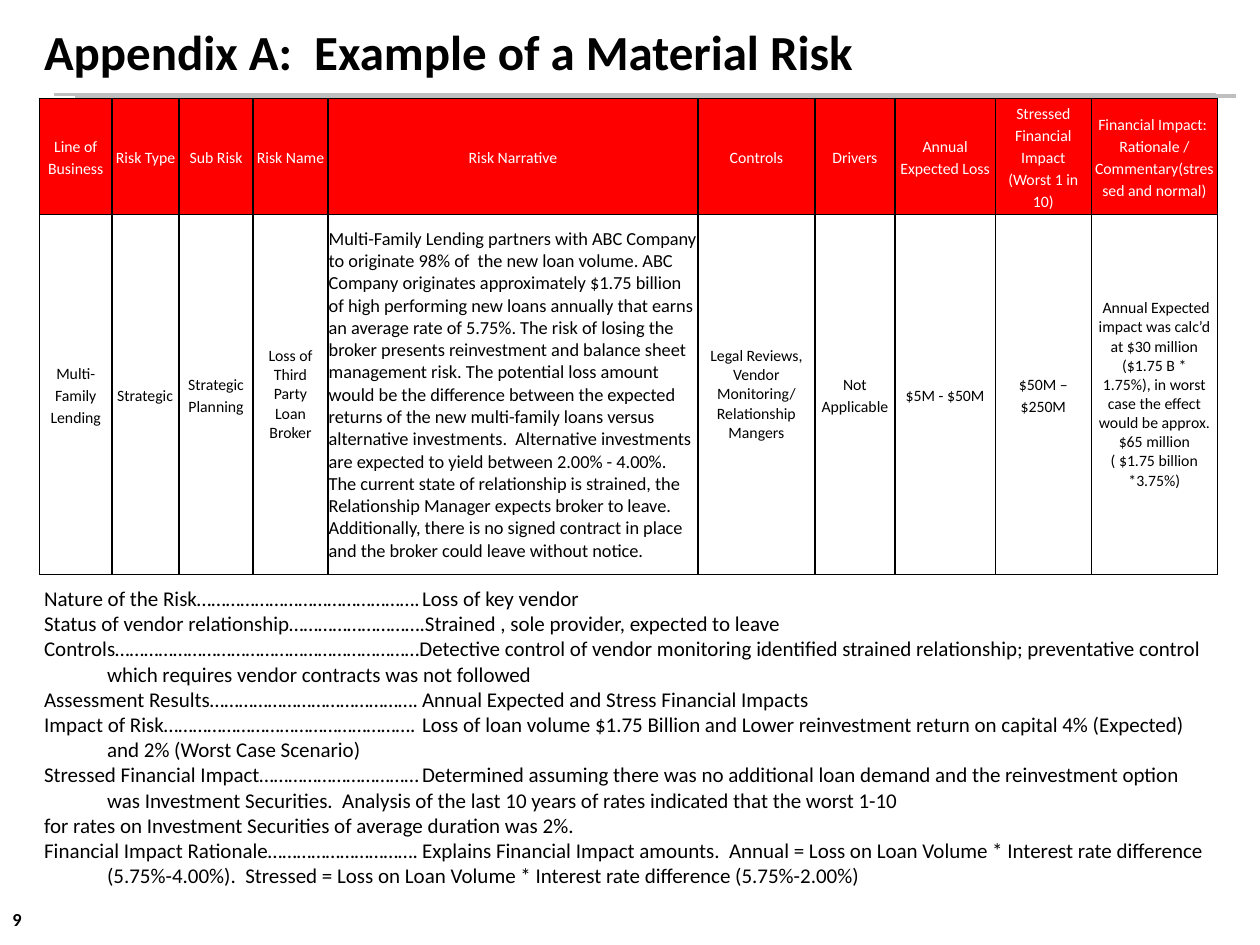
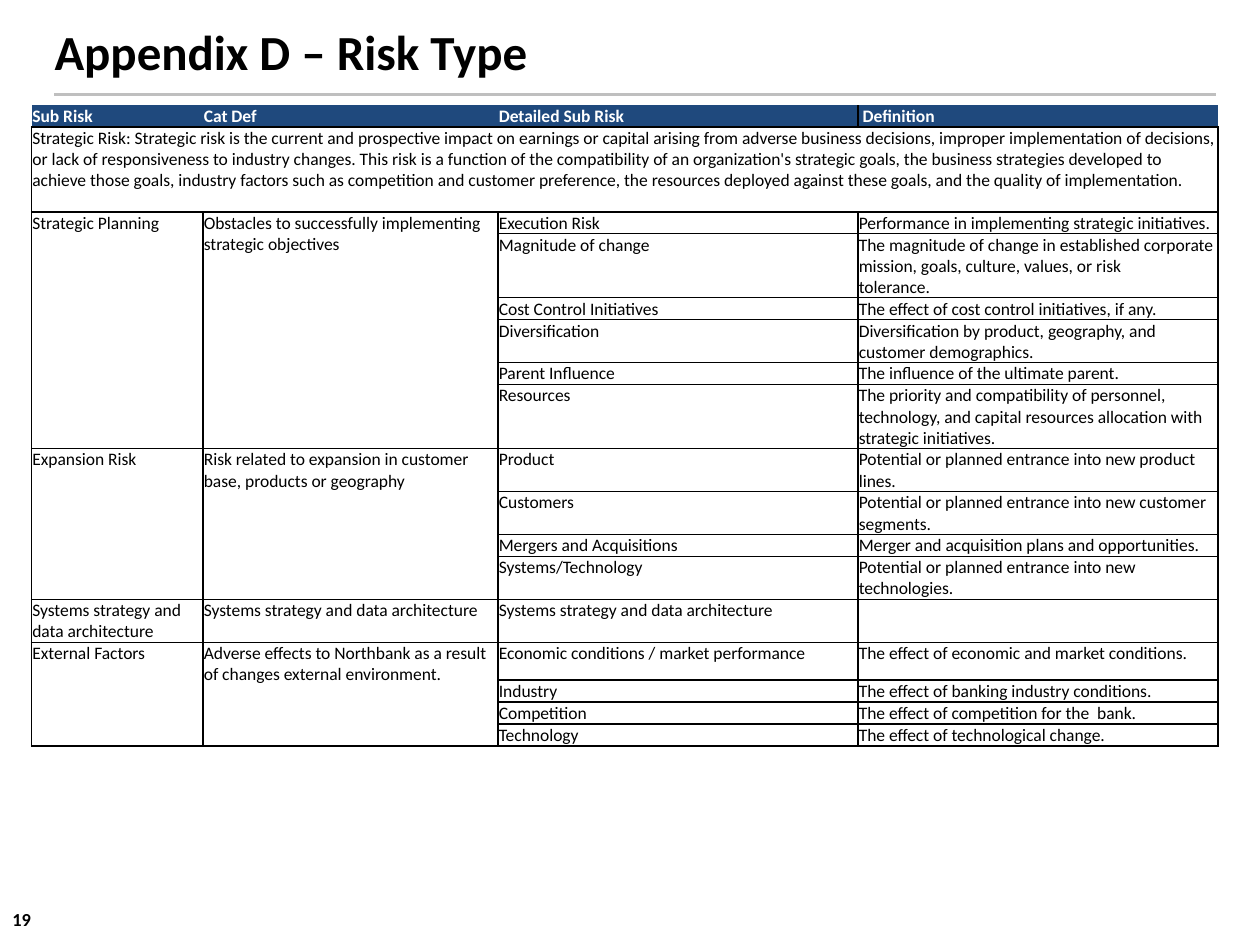
"""Build two risk appendix slides: a material risk example and the strategic risk types."""
from lxml import etree
from pptx import Presentation
from pptx.dml.color import RGBColor
from pptx.enum.shapes import MSO_CONNECTOR
from pptx.enum.text import MSO_ANCHOR, MSO_AUTO_SIZE, PP_ALIGN
from pptx.oxml.ns import qn
from pptx.util import Pt

LEFT, CENTER = PP_ALIGN.LEFT, PP_ALIGN.CENTER
TOP, MIDDLE = MSO_ANCHOR.TOP, MSO_ANCHOR.MIDDLE
STRAIGHT = MSO_CONNECTOR.STRAIGHT
NO_AUTOFIT = MSO_AUTO_SIZE.NONE

THEME = {
    "font": "Calibri",
    "ink": "000000", "paper": "FFFFFF", "rule": "BFBFBF",
    "risk_header": "FF0000", "type_header": "1F497D",
    "title": 28, "notes": 12, "narrative": 10.5, "number": 10.5,
    "type_cell": 10, "risk_cell": 9,
    "rule_width": 2.25, "border_width": 1,
}


def format_para(para, size, color=THEME["ink"], bold=False, align=LEFT):
    """Apply the theme font to every run and line break of a paragraph."""
    para.alignment = align
    for span in para.runs:
        span.font.name = THEME["font"]
        span.font.size = Pt(size)
        span.font.bold = bold
        span.font.color.rgb = RGBColor.from_string(color)
    size_code = str(int(size * 100))
    for line_break in para._p.findall(qn("a:br")):
        etree.SubElement(line_break, qn("a:rPr"), sz=size_code)
    if not para.runs:
        etree.SubElement(para._p, qn("a:endParaRPr"), sz=size_code)


def style_cell(cell, fill, anchor, insets, sides="LRTB"):
    """Set fill, anchor, insets and the visible borders of a table cell."""
    cell.vertical_anchor = anchor
    cell.margin_left, cell.margin_top, cell.margin_right, cell.margin_bottom = map(Pt, insets)
    properties = cell._tc.get_or_add_tcPr()
    for side in "LRTB":
        border = etree.SubElement(properties, qn(f"a:ln{side}"), w=str(Pt(THEME["border_width"])))
        if side in sides:
            solid = etree.SubElement(border, qn("a:solidFill"))
            etree.SubElement(solid, qn("a:srgbClr"), val=THEME["ink"])
        else:
            etree.SubElement(border, qn("a:noFill"))
    cell.fill.solid()
    cell.fill.fore_color.rgb = RGBColor.from_string(fill)


deck = Presentation()
deck.slide_width, deck.slide_height = Pt(720), Pt(540)

PAGES = [
    {"layout": 1, "title": "Appendix A:  Example of a Material Risk", "number": "9",
     "title_box": (18, 8.5, 678, 41), "rules": [(31, 695, 54), (43, 706.5, 55)],
     "table_at": (22.5, 56.2), "row_heights": [65.5, 206],
     "columns": [41.5, 38.3, 42.3, 42.8, 211.4, 66.9, 45.7, 57.4, 54.9, 72]},
    {"layout": 5, "title": "Appendix D – Risk Type", "number": "19",
     "title_box": (24, 8.5, 672, 75), "rules": [(31, 695, 54)],
     "table_at": (18, 60),
     "row_heights": [12.5, 48.5, 12.5, 36.5, 12.5, 24.5, 12.5, 36.5, 24.5, 24.5, 12.5,
                     24.5, 24.5, 21.6, 12.5, 12.5, 12.5],
     "columns": [98, 168.6, 205.7, 205.7]},
]

pages, tables = [], []
for plan in PAGES:
    page = deck.slides.add_slide(deck.slide_layouts[plan["layout"]])
    pages.append(page)

    title = page.shapes.title
    title.left, title.top, title.width, title.height = map(Pt, plan["title_box"])
    title.text_frame.text = plan["title"]
    title.text_frame.vertical_anchor = TOP
    title.text_frame.auto_size = NO_AUTOFIT
    format_para(title.text_frame.paragraphs[0], THEME["title"], bold=True)

    number_box = page.shapes.add_textbox(Pt(0), Pt(510), Pt(30), Pt(30))
    number_box.text_frame.word_wrap = True
    number_box.text_frame.vertical_anchor = MIDDLE
    number_box.text_frame.text = plan["number"]
    format_para(number_box.text_frame.paragraphs[0], THEME["number"], bold=True)

    for start, end, height in plan["rules"]:
        rule = page.shapes.add_connector(STRAIGHT, Pt(start), Pt(height), Pt(end), Pt(height))
        rule.line.color.rgb = RGBColor.from_string(THEME["rule"])
        rule.line.width = Pt(THEME["rule_width"])
        etree.SubElement(rule._element.spPr, qn("a:effectLst"))

    left, top = plan["table_at"]
    frame = page.shapes.add_table(
        len(plan["row_heights"]), len(plan["columns"]), Pt(left), Pt(top),
        Pt(sum(plan["columns"])), Pt(sum(plan["row_heights"])))
    table = frame.table
    table.first_row = table.horz_banding = False
    for column, width in zip(table.columns, plan["columns"]):
        column.width = Pt(width)
    for row, height in zip(table.rows, plan["row_heights"]):
        row.height = Pt(height)
    tables.append(table)

risk_page, type_page = pages
risk_table, type_table = tables

RISK_FIELDS = [
    ("Line of Business", "Multi-Family Lending"),
    ("Risk Type", "Strategic"),
    ("Sub Risk", "Strategic Planning"),
    ("Risk Name ", "Loss of Third Party Loan Broker"),
    ("Risk Narrative",
     "Multi-Family Lending partners with ABC Company to originate 98% of  the new loan volume. "
     "ABC Company originates approximately $1.75 billion of high performing new loans annually "
     "that earns an average rate of 5.75%. The risk of losing the broker presents reinvestment "
     "and balance sheet management risk. The potential loss amount would be the difference "
     "between the expected returns of the new multi-family loans versus alternative investments.  "
     "Alternative investments are expected to yield between 2.00% - 4.00%.  The current state of "
     "relationship is strained, the Relationship Manager expects broker to leave.  Additionally, "
     "there is no signed contract in place and the broker could leave without notice."),
    ("Controls", "Legal Reviews, Vendor Monitoring/ Relationship Mangers"),
    ("Drivers", "Not Applicable"),
    ("Annual Expected Loss", "$5M - $50M"),
    ("Stressed Financial Impact (Worst 1 in 10)", "$50M – $250M"),
    ("Financial Impact:  Rationale / Commentary(stressed and normal)",
     " Annual Expected impact was calc’d at $30 million ($1.75 B * 1.75%), in worst case the "
     "effect would be approx. $65 million ( $1.75 billion *3.75%)"),
]
SINGLE_SPACED = {"Risk Name ", "Risk Narrative", "Controls",
                 "Financial Impact:  Rationale / Commentary(stressed and normal)"}
NO_SPACE_AFTER = {"Risk Narrative", "Controls"}

for column, (heading, value) in enumerate(RISK_FIELDS):
    is_narrative = heading == "Risk Narrative"
    for row, text in enumerate((heading, value)):
        is_header = row == 0
        cell = risk_table.cell(row, column)
        cell.text_frame.text = text
        inset = 0 if column == 0 else 2 if is_header else 3
        insets = (0.5, 0.5, 0.5, 0) if is_narrative and not is_header else (inset,) * 4
        style_cell(cell, THEME["risk_header" if is_header else "paper"], MIDDLE, insets)
        para = cell.text_frame.paragraphs[0]
        size = THEME["narrative" if is_narrative and not is_header else "risk_cell"]
        is_left = not is_header and heading in ("Risk Type", "Risk Narrative")
        format_para(para, size, THEME["paper" if is_header else "ink"],
                    align=LEFT if is_left else CENTER)
        if is_header or heading not in SINGLE_SPACED:
            para.line_spacing = 1.15
        if is_header or heading not in NO_SPACE_AFTER:
            para.space_after = Pt(10)

RISK_NOTES = [
    "Nature of the Risk……………………………………….\tLoss of key vendor",
    "Status of vendor relationship……………………….Strained , sole provider, expected to leave",
    "Controls………………………………………………………Detective control of vendor monitoring identified "
    "strained relationship; preventative control\v\twhich requires vendor contracts was not followed",
    "Assessment Results…………………………………….\tAnnual Expected and Stress Financial Impacts",
    "Impact of Risk…………………………………………….\tLoss of loan volume $1.75 Billion and Lower "
    "reinvestment return on capital 4% (Expected)\v\tand 2% (Worst Case Scenario)\v"
    "Stressed Financial Impact……………………………\tDetermined assuming there was no additional loan "
    "demand and the reinvestment option\v\twas Investment Securities.  Analysis of the last 10 "
    "years of rates indicated that the worst 1-10\v"
    "for rates on Investment Securities of average duration was 2%.",
    "Financial Impact Rationale………………………….\tExplains Financial Impact amounts.  Annual = Loss "
    "on Loan Volume * Interest rate difference\v\t(5.75%-4.00%).  Stressed = Loss on Loan Volume "
    "* Interest rate difference (5.75%-2.00%)",
]

notes = risk_page.placeholders[1]
notes.left, notes.top, notes.width, notes.height = Pt(18), Pt(331), Pt(684), Pt(181.5)
notes.text_frame.text = "\n".join(RISK_NOTES)
notes.text_frame.auto_size = NO_AUTOFIT
for para in notes.text_frame.paragraphs:
    format_para(para, THEME["notes"])
    para.space_before = Pt(0)
    properties = para._p.get_or_add_pPr()
    properties.set("marL", "0")
    properties.set("indent", "0")
    etree.SubElement(properties, qn("a:buNone"))
    tab_list = etree.SubElement(properties, qn("a:tabLst"))
    for stop in (72, 216):
        etree.SubElement(tab_list, qn("a:tab"), pos=str(Pt(stop)), algn="l")

TYPE_HEADINGS = ["Sub Risk", "Cat Def", "Detailed Sub Risk", " Definition"]
STRATEGIC_RISK = (
    "Strategic Risk: Strategic risk is the current and prospective impact on earnings or capital "
    "arising from adverse business decisions, improper implementation of decisions, or lack of "
    "responsiveness to industry changes. This risk is a function of the compatibility of an "
    "organization's strategic goals, the business strategies developed to achieve those goals, "
    "industry factors such as competition and customer preference, the resources deployed against "
    "these goals, and the quality of implementation.")
SUB_RISKS = [
    ("Strategic Planning", "Obstacles to successfully implementing strategic objectives", [
        ("Execution Risk", "Performance in implementing strategic initiatives."),
        ("Magnitude of change", "The magnitude of change in established corporate mission, goals, "
         "culture, values, or risk\vtolerance."),
        ("Cost Control Initiatives", "The effect of cost control initiatives, if any."),
        ("Diversification", "Diversification by product, geography, and customer demographics."),
        ("Parent Influence", "The influence of the ultimate parent."),
        ("Resources", "The priority and compatibility of personnel, technology, and capital "
         "resources allocation with strategic initiatives."),
    ]),
    ("Expansion Risk", "Risk related to expansion in customer base, products or geography", [
        ("Product", "Potential or planned entrance into new product lines."),
        ("Customers", "Potential or planned entrance into new customer segments."),
        ("Mergers and Acquisitions", "Merger and acquisition plans and opportunities."),
        ("Systems/Technology", "Potential or planned entrance into new technologies."),
    ]),
    ("Systems strategy and data architecture", "Systems strategy and data architecture", [
        ("Systems strategy and data architecture", ""),
    ]),
    ("External Factors", "Adverse effects to Northbank as a result of changes external environment.", [
        ("Economic conditions / market performance", "The effect of economic and market conditions."),
        ("Industry", "The effect of banking industry conditions."),
        ("Competition", "The effect of competition for the  bank."),
        ("Technology", "The effect of technological change."),
    ]),
]

type_rows = [TYPE_HEADINGS, [STRATEGIC_RISK, "", "", ""]]
type_table.cell(1, 0).merge(type_table.cell(1, 3))
for sub_risk, category, details in SUB_RISKS:
    first = len(type_rows)
    last = first + len(details) - 1
    for index, (detail, definition) in enumerate(details):
        group = ["", ""] if index else [sub_risk, category]
        type_rows.append([*group, detail, definition])
    if last > first:
        for column in (0, 1):
            type_table.cell(first, column).merge(type_table.cell(last, column))

HEADER_SIDES = ["B", "B", "RB", "LB"]
for row, texts in enumerate(type_rows):
    is_header = row == 0
    for column, text in enumerate(texts):
        cell = type_table.cell(row, column)
        cell.text_frame.text = text
        style_cell(cell, THEME["type_header" if is_header else "paper"], TOP, (0.5, 0.5, 0.5, 0),
                   HEADER_SIDES[column] if is_header else "LRTB")
        format_para(cell.text_frame.paragraphs[0], THEME["type_cell"],
                    THEME["paper" if is_header else "ink"], bold=is_header)

deck.save("out.pptx")
